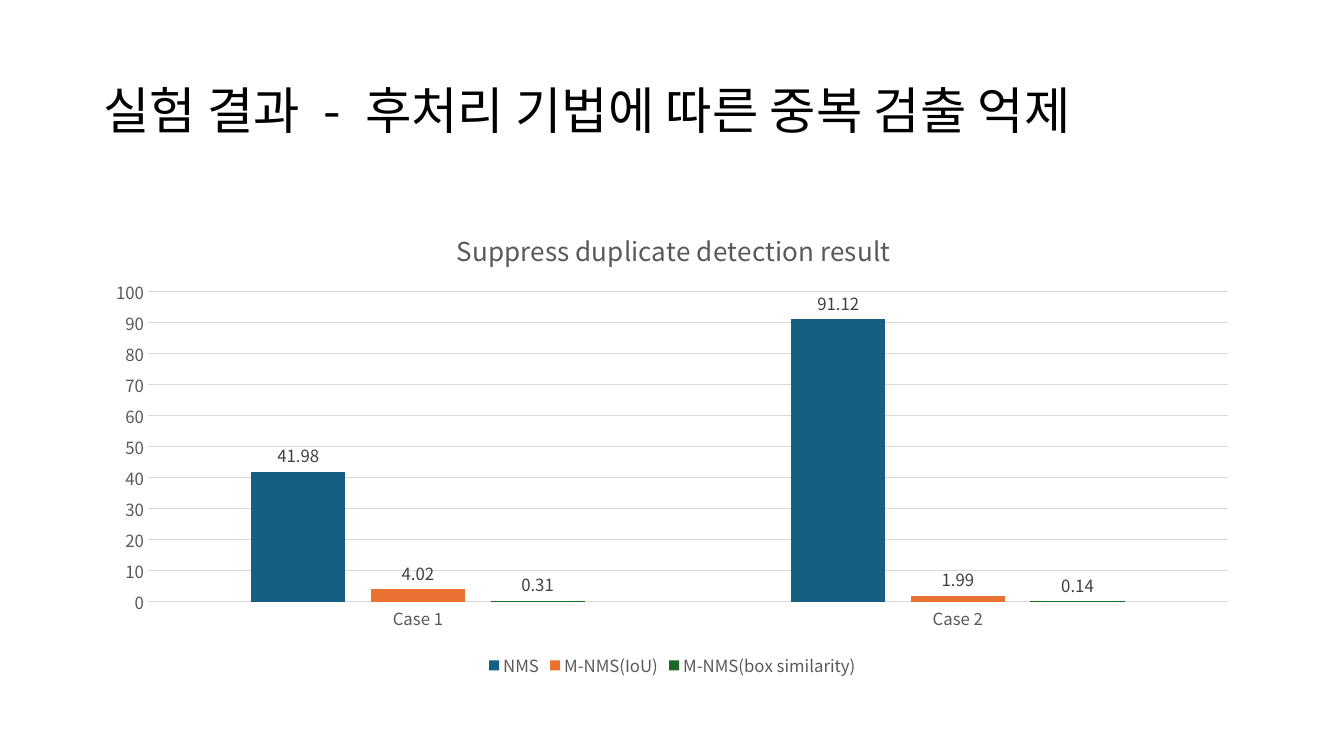
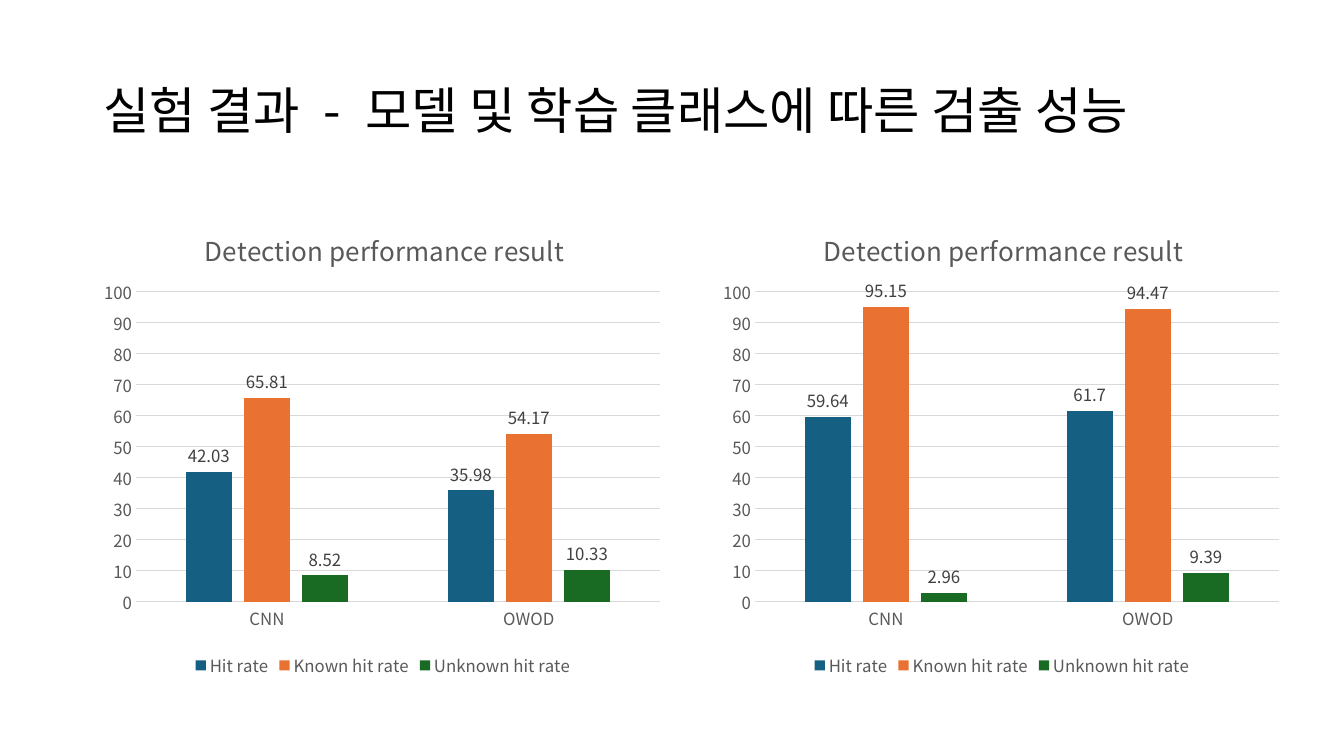
from dataclasses import dataclass

from lxml.etree import SubElement
from pptx import Presentation
from pptx.chart.chart import Chart
from pptx.chart.data import CategoryChartData
from pptx.dml.color import RGBColor
from pptx.enum.chart import XL_CHART_TYPE, XL_LABEL_POSITION, XL_LEGEND_POSITION, XL_TICK_MARK
from pptx.enum.text import MSO_ANCHOR, MSO_AUTO_SIZE, PP_ALIGN
from pptx.oxml import parse_xml
from pptx.oxml.ns import nsdecls, qn
from pptx.slide import Slide
from pptx.text.text import Font
from pptx.util import Emu, Pt

EMU_PER_PX = 914400 / 100.8
FONT_NAME = "Noto Sans CJK KR"
TITLE_COLOR = "000000"
AXIS_TEXT_COLOR = "595959"
LABEL_COLOR = "404040"
GRID_COLOR = "D9D9D9"
SERIES_COLORS = ("156082", "E97132", "196B24")
SECTION = "실험 결과"
LEFT = 93
CONTENT_WIDTH = 1159
HALF_WIDTH = 580
RIGHT_CHART_LEFT = 712
CHART_TOP, CHART_HEIGHT = 202, 480
PLOT_TOP, PLOT_HEIGHT = 90, 310
HEADING_TOP = 21
HIT_RATES = ("Hit rate", "Known hit rate", "Unknown hit rate")
MODELS = ("CNN", "OWOD")


@dataclass(frozen=True)
class ColumnChart:
    left: int
    width: int
    heading: str
    heading_left: int
    plot_left: int
    plot_width: int
    categories: tuple[str, ...]
    series: dict[str, tuple[float, ...]]


@dataclass(frozen=True)
class ResultSlide:
    topic: str
    charts: tuple[ColumnChart, ...]


def px(length: int) -> Emu:
    return Emu(round(length * EMU_PER_PX))


def color(value: str) -> RGBColor:
    return RGBColor.from_string(value)


def style_font(font: Font, size: float, value: str) -> None:
    font.size = Pt(size)
    font.bold = False
    font.name = FONT_NAME
    font.color.rgb = color(value)


def add_title(slide: Slide, topic: str) -> None:
    title = slide.shapes.title
    title.left, title.top = px(LEFT), px(40)
    title.width, title.height = px(CONTENT_WIDTH), px(146)
    frame = title.text_frame
    frame.word_wrap = True
    frame.auto_size = MSO_AUTO_SIZE.NONE
    frame.vertical_anchor = MSO_ANCHOR.MIDDLE
    paragraph = frame.paragraphs[0]
    paragraph.alignment = PP_ALIGN.LEFT
    paragraph.line_spacing = 0.9
    for part in (SECTION, " ", "-", " ", topic):
        run = paragraph.add_run()
        run.text = part
        style_font(run.font, 36, TITLE_COLOR)
        properties = run._r.get_or_add_rPr()
        SubElement(properties, qn("a:ea"), typeface=FONT_NAME)
        if part == " ":
            properties.set("spc", "900")


def manual_layout(target: str, **fractions: float):
    inner = '<c:layoutTarget val="inner"/>' if target == "inner" else ""
    modes = '<c:xMode val="edge"/><c:yMode val="edge"/>'
    values = "".join(f'<c:{key} val="{value:.4f}"/>' for key, value in fractions.items())
    return parse_xml(
        f'<c:layout {nsdecls("c")}><c:manualLayout>{inner}{modes}{values}'
        "</c:manualLayout></c:layout>"
    )


def place_parts(chart: Chart, item: ColumnChart) -> None:
    heading = chart.element.find(".//" + qn("c:title"))
    plot_area = chart.element.find(".//" + qn("c:plotArea"))
    for owner in (heading, plot_area):
        for layout in owner.findall(qn("c:layout")):
            owner.remove(layout)
    heading.find(qn("c:tx")).addnext(
        manual_layout("outer", x=item.heading_left / item.width, y=HEADING_TOP / CHART_HEIGHT)
    )
    plot_area.insert(0, manual_layout(
        "inner",
        x=item.plot_left / item.width,
        y=PLOT_TOP / CHART_HEIGHT,
        w=item.plot_width / item.width,
        h=PLOT_HEIGHT / CHART_HEIGHT,
    ))


def style_axes(chart: Chart) -> None:
    for axis in (chart.category_axis, chart.value_axis):
        axis.major_tick_mark = XL_TICK_MARK.NONE
        axis.minor_tick_mark = XL_TICK_MARK.NONE
        style_font(axis.tick_labels.font, 12, AXIS_TEXT_COLOR)
    values = chart.value_axis
    values.minimum_scale, values.maximum_scale, values.major_unit = 0, 100, 10
    values.has_major_gridlines = True
    values.format.line.fill.background()
    for line in (chart.category_axis.format.line, values.major_gridlines.format.line):
        line.color.rgb = color(GRID_COLOR)
        line.width = Pt(0.75)


def add_column_chart(slide: Slide, item: ColumnChart) -> None:
    data = CategoryChartData()
    data.categories = item.categories
    for name, values in item.series.items():
        data.add_series(name, values)
    chart = slide.shapes.add_chart(
        XL_CHART_TYPE.COLUMN_CLUSTERED,
        px(item.left), px(CHART_TOP), px(item.width), px(CHART_HEIGHT), data,
    ).chart
    style_font(chart.font, 10, TITLE_COLOR)

    chart.has_title = True
    heading = chart.chart_title
    heading.include_in_layout = False
    paragraph = heading.text_frame.paragraphs[0]
    paragraph.text = item.heading
    style_font(paragraph.runs[0].font, 18.6, AXIS_TEXT_COLOR)

    chart.has_legend = True
    chart.legend.position = XL_LEGEND_POSITION.BOTTOM
    chart.legend.include_in_layout = False
    style_font(chart.legend.font, 12, AXIS_TEXT_COLOR)
    style_axes(chart)

    plot = chart.plots[0]
    plot.vary_by_categories = False
    plot.gap_width, plot.overlap = 219, -27
    for series, fill in zip(plot.series, SERIES_COLORS):
        series.format.fill.solid()
        series.format.fill.fore_color.rgb = color(fill)
        series.invert_if_negative = False
        labels = series.data_labels
        labels.show_value = True
        labels.position = XL_LABEL_POSITION.OUTSIDE_END
        style_font(labels.font, 12, LABEL_COLOR)
    place_parts(chart, item)


def detection_chart(left: int, *rates: tuple[float, ...]) -> ColumnChart:
    return ColumnChart(
        left, HALF_WIDTH, "Detection performance result", 107, 43, 524,
        MODELS, dict(zip(HIT_RATES, rates)),
    )


RESULTS = (
    ResultSlide("후처리 기법에 따른 중복 검출 억제", (
        ColumnChart(
            LEFT, CONTENT_WIDTH, "Suppress duplicate detection result", 359, 55, 1080,
            ("Case 1", "Case 2"),
            {
                "NMS": (41.98, 91.12),
                "M-NMS(IoU)": (4.02, 1.99),
                "M-NMS(box similarity)": (0.31, 0.14),
            },
        ),
    )),
    ResultSlide("모델 및 학습 클래스에 따른 검출 성능", (
        detection_chart(LEFT, (42.03, 35.98), (65.81, 54.17), (8.52, 10.33)),
        detection_chart(RIGHT_CHART_LEFT, (59.64, 61.7), (95.15, 94.47), (2.96, 9.39)),
    )),
)


def main() -> None:
    presentation = Presentation()
    presentation.slide_width, presentation.slide_height = px(1344), px(756)
    title_only = presentation.slide_layouts[5]
    for result in RESULTS:
        slide = presentation.slides.add_slide(title_only)
        add_title(slide, result.topic)
        for item in result.charts:
            add_column_chart(slide, item)
    presentation.save("out.pptx")


if __name__ == "__main__":
    main()
